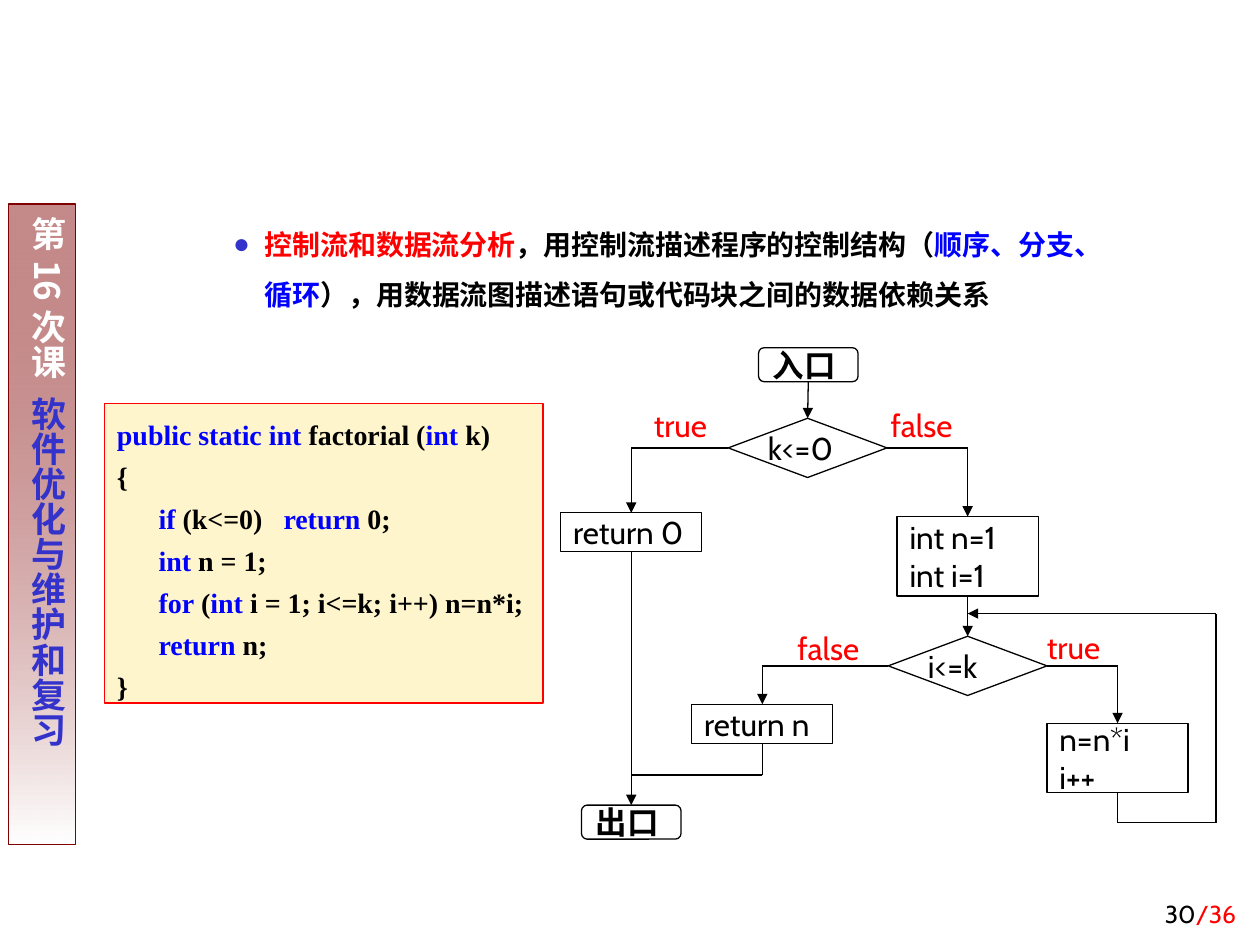
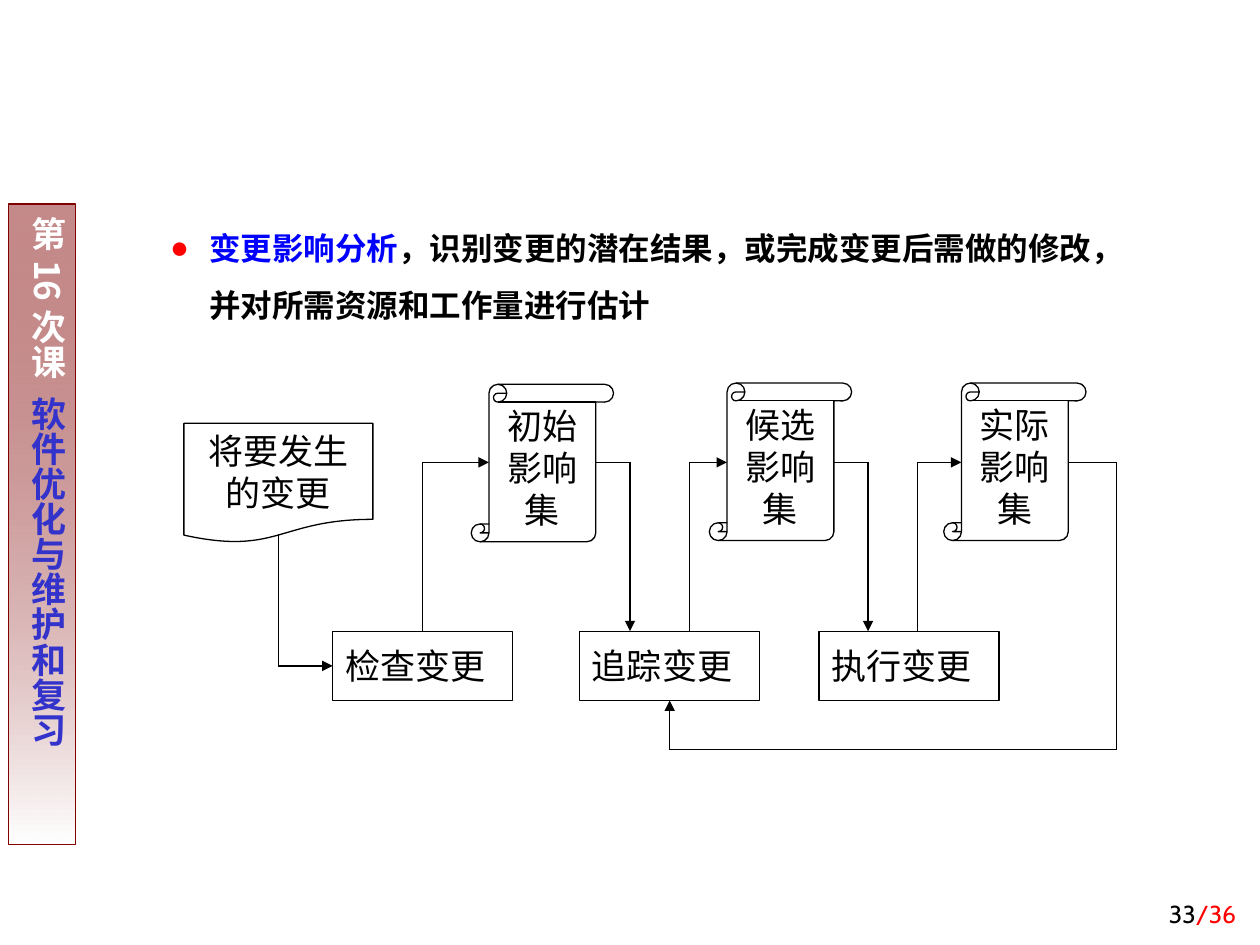
from dataclasses import dataclass

from lxml import etree
from pptx import Presentation
from pptx.dml.color import RGBColor
from pptx.enum.shapes import MSO_CONNECTOR, MSO_SHAPE
from pptx.enum.text import MSO_ANCHOR, MSO_AUTO_SIZE, PP_ALIGN
from pptx.oxml.ns import qn
from pptx.util import Inches, Pt

RECTANGLE = MSO_SHAPE.RECTANGLE
ROUNDED = MSO_SHAPE.ROUNDED_RECTANGLE
DECISION = MSO_SHAPE.FLOWCHART_DECISION
DOCUMENT = MSO_SHAPE.FLOWCHART_DOCUMENT
SCROLL = MSO_SHAPE.VERTICAL_SCROLL
STRAIGHT = MSO_CONNECTOR.STRAIGHT
LEFT_ALIGN, CENTER, RIGHT_ALIGN = PP_ALIGN.LEFT, PP_ALIGN.CENTER, PP_ALIGN.RIGHT
ANCHOR_TOP, ANCHOR_MIDDLE, ANCHOR_BOTTOM = MSO_ANCHOR.TOP, MSO_ANCHOR.MIDDLE, MSO_ANCHOR.BOTTOM
TOP, LEFT, BOTTOM, RIGHT = range(4)

# The slide is a grid of 100 columns by 75 rows.
COLUMNS, ROWS = 100, 75
CELL = Inches(10) / COLUMNS

BLACK, WHITE, RED, BLUE = "000000", "FFFFFF", "FF0000", "0000FF"
INDIGO, MAROON, CREAM = "3333CC", "800000", "FFF5CC"
SANS, SERIF, CHINESE = "Cabin", "Times New Roman", "Noto Sans CJK SC"


def rgb(value):
    return RGBColor.from_string(value)


def grid(*cells):
    return [round(cell * CELL) for cell in cells]


def add_child(parent, tag, **attributes):
    return etree.SubElement(parent, qn(tag), attributes)


@dataclass
class Side:
    """The middle of one side of a shape, where a connector can be joined."""
    shape: object
    index: int

    @property
    def point(self):
        shape = self.shape
        across = {LEFT: 0, RIGHT: 1}.get(self.index, 0.5)
        down = {TOP: 0, BOTTOM: 1}.get(self.index, 0.5)
        return ((shape.left + shape.width * across) / CELL,
                (shape.top + shape.height * down) / CELL)


def corner(vertical, horizontal):
    """Where the upright through one side meets the level through another."""
    return vertical.point[0], horizontal.point[1]


class Deck:
    def __init__(self):
        self.presentation = Presentation()
        self.presentation.slide_width, self.presentation.slide_height = grid(COLUMNS, ROWS)
        self.slide = None

    def new_slide(self, number):
        layout = self.presentation.slide_layouts[1]
        self.slide = self.presentation.slides.add_slide(layout)
        title = self.slide.shapes.title.element
        title.getparent().remove(title)
        self.lesson_band()
        self.label(78.3, 69.2, 20.8, 5, [(number, BLACK), ("/36", RED)], size=14,
                   align=RIGHT_ALIGN, anchor=ANCHOR_BOTTOM, wrap=True)

    def set_text(self, shape, lines, size=18, font=SANS, asian=SANS, bold=False,
                 align=LEFT_ALIGN, anchor=ANCHOR_MIDDLE, wrap=False, spacing=None):
        """Fill a shape with lines of (text, colour[, letter spacing]) runs."""
        frame = shape.text_frame
        frame.word_wrap = wrap
        frame.auto_size = MSO_AUTO_SIZE.NONE
        frame.vertical_anchor = anchor
        for index, runs in enumerate(lines):
            paragraph = frame.add_paragraph() if index else frame.paragraphs[0]
            paragraph.alignment = align
            paragraph.space_before = Pt(0)
            if spacing:
                paragraph.line_spacing = spacing
            for text, color, *letter_spacing in runs:
                run = paragraph.add_run()
                run.text = text
                run.font.size, run.font.bold, run.font.name = Pt(size), bold, font
                run.font.color.rgb = rgb(color)
                properties = run.font._element
                add_child(properties, "a:ea", typeface=asian)
                for points in letter_spacing:
                    properties.set("spc", str(points * 100))
        return frame

    def box(self, kind, left, top, width, height, fill=None, line=BLACK):
        shape = self.slide.shapes.add_shape(kind, *grid(left, top, width, height))
        shape.shadow.inherit = False
        shape.line.color.rgb = rgb(line)
        shape.line.width = Pt(0.75)
        if fill:
            shape.fill.solid()
            shape.fill.fore_color.rgb = rgb(fill)
        else:
            shape.fill.background()
        return shape

    def node(self, kind, left, top, width, height, *texts, **style):
        """Add an outlined flow chart shape with black text."""
        shape = self.box(kind, left, top, width, height)
        frame = self.set_text(shape, [[(text, BLACK)] for text in texts], **style)
        if kind == DECISION:
            frame.margin_left = frame.margin_right = 0
            frame.margin_top = frame.margin_bottom = 0
        return shape

    def label(self, left, top, width, height, runs, **style):
        shape = self.slide.shapes.add_textbox(*grid(left, top, width, height))
        self.set_text(shape, [runs], **style)

    def lesson_band(self):
        band = self.box(RECTANGLE, 0.7, 16.2, 5.3, 50.8, line=MAROON)
        band.fill.gradient()
        band.fill.gradient_angle = 270
        for stop, color, position in zip(band.fill.gradient_stops, (MAROON, WHITE), (0, 1)):
            stop.color.rgb = rgb(color)
            stop.position = position
        first_color = next(band._element.spPr.iter(qn("a:srgbClr")))
        add_child(first_color, "a:alpha", val="46000")
        runs = [("第16次课", WHITE), (" ", WHITE, 5), ("软件优化与维护和复习", INDIGO)]
        frame = self.set_text(band, [runs], size=20, font=CHINESE, asian=CHINESE, bold=True,
                              align=CENTER, anchor=ANCHOR_TOP, wrap=True)
        frame.margin_left = frame.margin_right = Inches(0.05)
        frame.margin_top = frame.margin_bottom = Inches(0.1)
        frame._txBody.bodyPr.set("vert", "eaVert")

    def bullet(self, height, runs, level, size, indent, hanging, color):
        body = self.slide.placeholders[1]
        body.left, body.top, body.width, body.height = grid(7.5, 16.2, 81.1, height)
        frame = self.set_text(body, [runs], size=size, font=SERIF, bold=True,
                              anchor=ANCHOR_TOP, wrap=True, spacing=1.5)
        paragraph = frame.paragraphs[0]
        paragraph.level = level
        properties = paragraph._p.get_or_add_pPr()
        margin, first_line = grid(indent, -hanging)
        properties.set("marL", str(margin))
        properties.set("indent", str(first_line))
        add_child(add_child(properties, "a:buClr"), "a:srgbClr", val=color)
        add_child(properties, "a:buFont", typeface=SERIF)
        add_child(properties, "a:buChar", char="●")

    def code(self, left, top, width, height, lines):
        """Add a listing; each line is (indented, keyword, plain, keyword, ...)."""
        shape = self.box(RECTANGLE, left, top, width, height, fill=CREAM, line=RED)
        colored = []
        for _, *texts in lines:
            colored.append([(text, BLACK if index % 2 else BLUE, 8 if text == " " else 0)
                            for index, text in enumerate(texts) if text])
        frame = self.set_text(shape, colored, size=16, font=SERIF, bold=True,
                              anchor=ANCHOR_TOP, wrap=True, spacing=1.25)
        for paragraph, (indented, *_) in zip(frame.paragraphs, lines):
            if indented:
                paragraph._p.get_or_add_pPr().set("marL", str(Inches(0.33)))

    def route(self, *stops, arrow=True):
        """Join stops (points or sides) by straight lines, with a head at the end."""
        points = [stop.point if isinstance(stop, Side) else stop for stop in stops]
        for index in range(len(stops) - 1):
            start, end = stops[index:index + 2]
            line = self.slide.shapes.add_connector(
                STRAIGHT, *grid(*points[index], *points[index + 1]))
            if isinstance(start, Side):
                line.begin_connect(start.shape, start.index)
            if isinstance(end, Side):
                line.end_connect(end.shape, end.index)
            line.line.color.rgb = rgb(BLACK)
            line.line.width = Pt(0.75)
            if arrow and index == len(stops) - 2:
                add_child(line.line._get_or_add_ln(), "a:tailEnd", type="triangle")
            add_child(line._element.spPr, "a:effectLst")


def control_flow_slide(deck):
    deck.new_slide("30")
    deck.bullet(9.5, [("控制流和数据流分析", RED),
                      ("，用控制流描述程序的控制结构（", BLACK),
                      ("顺序、分支、循环", BLUE),
                      ("），用数据流图描述语句或代码块之间的数据依赖关系", BLACK)],
                level=2, size=16, indent=12.5, hanging=2.5, color=INDIGO)

    entry = deck.node(ROUNDED, 60.2, 27.6, 7.9, 2.7, "入口", bold=True)
    check_k = deck.node(DECISION, 57.8, 33.2, 12.6, 4.7, "k<=0")
    return_zero = deck.node(RECTANGLE, 44.5, 40.7, 11.2, 3.1, "return 0")
    initialise = deck.node(RECTANGLE, 71.2, 41, 11.2, 6.3, "int n=1", "int i=1")
    check_i = deck.node(DECISION, 70.5, 50.5, 12.6, 4.7, "i<=k")
    return_n = deck.node(RECTANGLE, 54.9, 55.9, 11.2, 3.1, "return n")
    multiply = deck.node(RECTANGLE, 83.1, 57.4, 11.2, 5.5, "n=n*i", "i++")
    leave = deck.node(ROUNDED, 46.15, 63.9, 7.9, 2.7, "出口", bold=True)

    deck.route(Side(entry, BOTTOM), Side(check_k, TOP))
    branches = [(check_k, LEFT, return_zero), (check_k, RIGHT, initialise),
                (check_i, LEFT, return_n), (check_i, RIGHT, multiply)]
    for decision, side, target in branches:
        start, end = Side(decision, side), Side(target, TOP)
        deck.route(start, corner(end, start), end)
    deck.route(Side(initialise, BOTTOM), Side(check_i, TOP))
    deck.route(Side(return_zero, BOTTOM), Side(leave, TOP))

    merge_row, loop_bottom, loop_top, loop_column = 61.5, 65.3, 48.7, 96.5
    end_n, end_multiply = Side(return_n, BOTTOM), Side(multiply, BOTTOM)
    deck.route(end_n, (end_n.point[0], merge_row),
               (Side(leave, TOP).point[0], merge_row), arrow=False)
    deck.route(end_multiply, (end_multiply.point[0], loop_bottom),
               (loop_column, loop_bottom), (loop_column, loop_top),
               (Side(check_i, TOP).point[0], loop_top))

    for left, top, text in [(50.9, 32.2, "true"), (82.1, 49.8, "true"),
                            (62.3, 49.9, "false"), (69.7, 32.2, "false")]:
        deck.label(left, top, 8.1, 3.1, [(text, RED)])

    deck.code(8.3, 32, 34.8, 23.8, [
        (False, "public static int ", "factorial (", "int ", "k)"),
        (False, "", "{"),
        (True, "if", " (k<=0)", " ", "", "return", " 0;"),
        (True, "int ", "n = 1;"),
        (True, "for", " (", "int ", "i = 1; i<=k; i++) n=n*i;"),
        (True, "return", " n;"),
        (False, "", "}"),
    ])


def change_impact_slide(deck):
    deck.new_slide("33")
    deck.bullet(12.7, [("变更影响分析", BLUE),
                       ("，识别变更的潜在结果，或完成变更后需做的修改，并对所需资源和工作量进行估计", BLACK)],
                level=1, size=18, indent=8.1, hanging=3.1, color=RED)

    inspect, trace, _ = [
        deck.node(RECTANGLE, left, 50.1, 14.3, 5.5, text, size=20)
        for left, text in [(26.4, "检查变更"), (46, "追踪变更"), (65, "执行变更")]]
    request = deck.node(DOCUMENT, 14.6, 33.6, 15, 9.5, "将要发生的变更",
                        size=20, align=CENTER, wrap=True)
    scroll_width, scroll_curl = 11.3, 1.4
    edges = []
    for left, top, text in [(37.4, 30.5, "初始影响集"), (56.3, 30.4, "候选影响集"),
                            (74.9, 30.4, "实际影响集")]:
        deck.node(SCROLL, left, top, scroll_width, 12.5, text,
                  size=20, align=CENTER, wrap=True)
        edges.append((left + scroll_curl, left + scroll_width - scroll_curl))
    initial, candidate, actual = edges

    set_row, step_row, return_row, return_column = 36.7, 50.1, 59.5, 88.6
    request_column = Side(request, BOTTOM).point[0]
    inspect_left, inspect_top = Side(inspect, LEFT), Side(inspect, TOP)
    trace_bottom = Side(trace, BOTTOM)
    deck.route((request_column, 42.4), (request_column, inspect_left.point[1]), inspect_left)
    deck.route(inspect_top, (inspect_top.point[0], set_row), (initial[0], set_row))
    for column, target in [(54.7, candidate), (72.8, actual)]:
        deck.route((column, step_row), (column, set_row), (target[0], set_row))
    for source, column in [(initial, 50), (candidate, 68.9)]:
        deck.route((source[1], set_row), (column, set_row), (column, step_row))
    deck.route((actual[1], set_row), (return_column, set_row), (return_column, return_row),
               (trace_bottom.point[0], return_row), trace_bottom)


def main():
    deck = Deck()
    control_flow_slide(deck)
    change_impact_slide(deck)
    deck.presentation.save("out.pptx")


if __name__ == "__main__":
    main()
